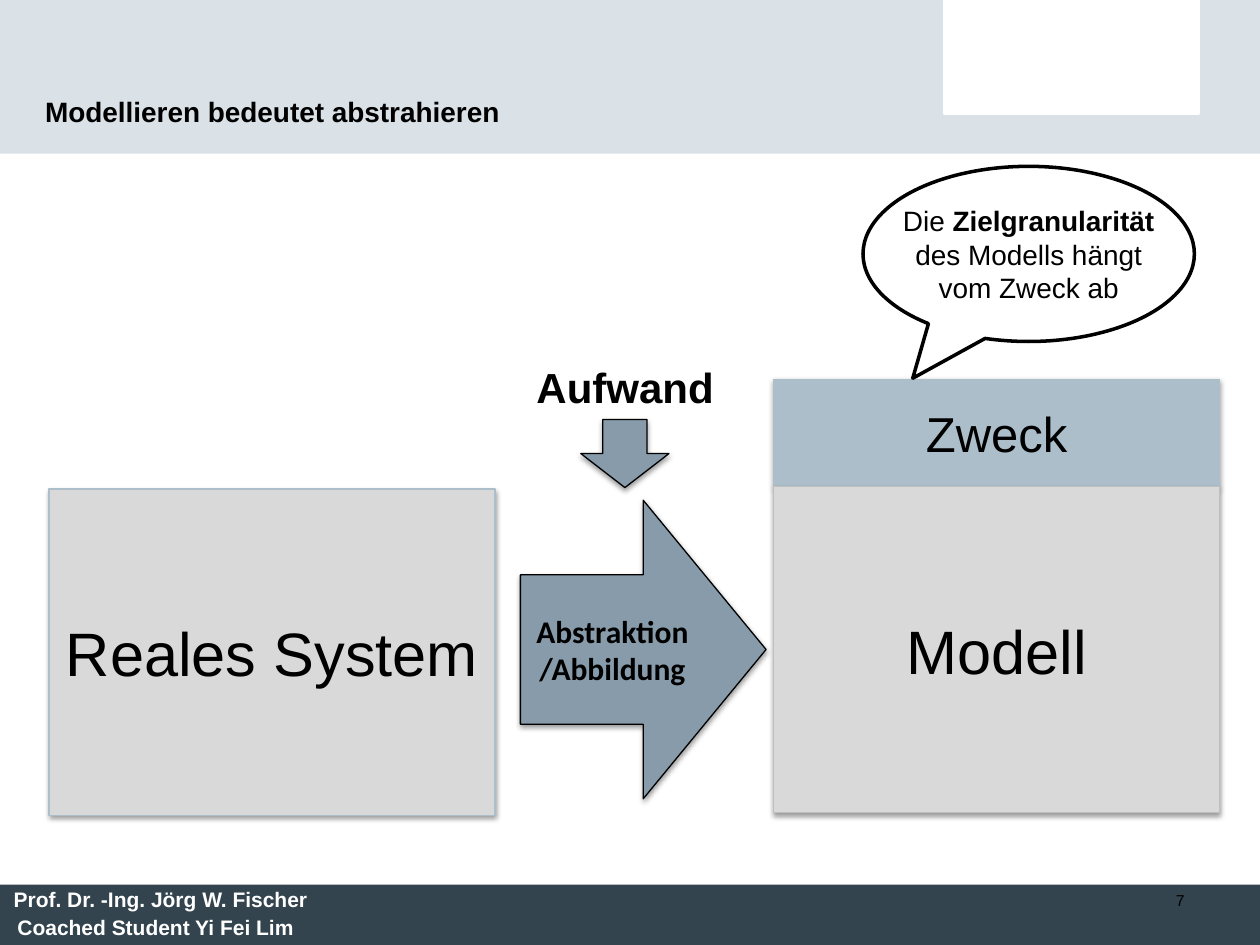
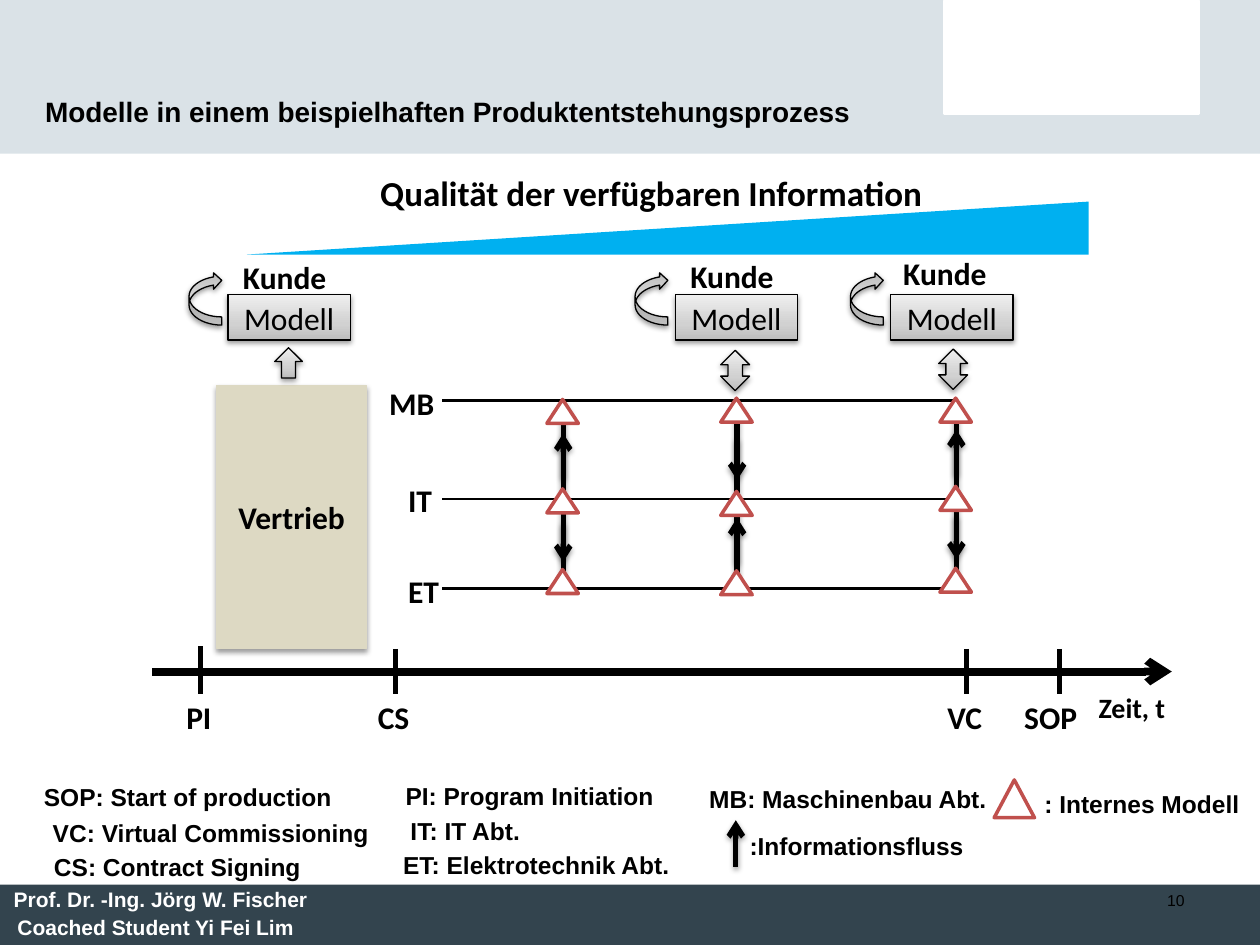
from lxml.etree import SubElement
from pptx import Presentation
from pptx.dml.color import RGBColor
from pptx.enum.shapes import MSO_CONNECTOR, MSO_SHAPE
from pptx.enum.text import MSO_ANCHOR, PP_ALIGN
from pptx.oxml import parse_xml
from pptx.oxml.ns import nsdecls, qn
from pptx.util import Pt

PX = 9144
BLACK, WHITE = "000000", "FFFFFF"
PALE, DARK, BLUE, STEEL = "DAE2E7", "33444E", "ADBECB", "879BAA"
GREY, RIM, SAND, RED, SKY = "D9D9D9", "BFBFBF", "DDD9C3", "C0504D", "00B0F0"
METAL = [(0, "BDBDBD"), (35, "D1D1D1"), (100, "EEEEEE")]
LEFT, MID, RIGHT = PP_ALIGN.LEFT, PP_ALIGN.CENTER, PP_ALIGN.RIGHT
TOP, BASE = MSO_ANCHOR.TOP, MSO_ANCHOR.BOTTOM
SHADE = (f'<a:outerShdw {nsdecls("a")} blurRad="39400" dist="20300" dir="5400000" '
         'rotWithShape="0"><a:srgbClr val="000000"><a:alpha val="38000"/>'
         '</a:srgbClr></a:outerShdw>')
hue = RGBColor.from_string


def form(page, kind, box, fill=None, edge=None, width=0.75, shade=False,
         runs=(), size=18, face="Arial", ink=BLACK, align=MID,
         anchor=MSO_ANCHOR.MIDDLE, wrap=True):
    place = [n * PX for n in box]
    if kind is None:
        shape = page.shapes.add_textbox(*place)
    else:
        shape = page.shapes.add_shape(kind, *place)
        shape.shadow.inherit = False
        if fill is METAL:
            shape.fill.gradient()
            shape.fill.gradient_angle = 90
            stops = shape._element.spPr.find(qn("a:gradFill")).find(qn("a:gsLst"))
            for old in list(stops):
                stops.remove(old)
            for spot, tone in METAL:
                stop = SubElement(stops, qn("a:gs"), pos=str(spot * 1000))
                SubElement(stop, qn("a:srgbClr"), val=tone)
        else:
            shape.fill.solid()
            shape.fill.fore_color.rgb = hue(fill)
        if edge:
            shape.line.color.rgb = hue(edge)
            shape.line.width = Pt(width)
        else:
            shape.line.fill.background()
        if shade:
            shape._element.spPr.find(qn("a:effectLst")).append(parse_xml(SHADE))
    if runs:
        frame = shape.text_frame
        frame.word_wrap = wrap
        frame.vertical_anchor = anchor
        para = frame.paragraphs[0]
        para.alignment = align
        for text, bold in runs:
            for row, bit in enumerate(text.split("\n")):
                if row:
                    para.add_line_break()
                if bit:
                    run = para.add_run()
                    run.text = bit
                    run.font.size = Pt(size)
                    run.font.name = face
                    run.font.bold = bold
                    run.font.color.rgb = hue(ink)
    return shape


def wire(page, ends, width, head=False, shade=False):
    line = page.shapes.add_connector(MSO_CONNECTOR.STRAIGHT, *[n * PX for n in ends])
    line.line.color.rgb = hue(BLACK)
    line.line.width = Pt(width)
    part = line._element.spPr
    if head:
        SubElement(part.find(qn("a:ln")), qn("a:tailEnd"), type="arrow")
    glow = SubElement(part, qn("a:effectLst"))
    if shade:
        glow.append(parse_xml(SHADE))


deck = Presentation()
deck.slide_width, deck.slide_height = 1000 * PX, 750 * PX
pages = []
for title, count in [("Modellieren bedeutet abstrahieren", "7"),
                     ("Modelle in einem beispielhaften Produktentstehungsprozess", "10")]:
    page = deck.slides.add_slide(deck.slide_layouts[6])
    form(page, MSO_SHAPE.RECTANGLE, (0, 0, 1000, 122), PALE)
    form(page, MSO_SHAPE.RECTANGLE, (750, 1, 201, 89), WHITE, WHITE, 2)
    form(page, MSO_SHAPE.RECTANGLE, (0, 702, 1000, 48), DARK)
    for left, top, text in [(1, 699, "Prof. Dr. -Ing. Jörg W. Fischer"),
                            (4, 721, "Coached Student Yi Fei Lim")]:
        form(page, None, (left, top, 268, 30), runs=[(text, True)], size=12,
             ink=WHITE, align=LEFT, anchor=TOP)
    form(page, None, (26, 44, 680, 63), runs=[(title, True)], size=16,
         align=LEFT, anchor=BASE)
    form(page, None, (717, 702, 233, 48), runs=[(count, False)], size=9,
         align=RIGHT, anchor=TOP)
    pages.append(page)

page = pages[0]
form(page, MSO_SHAPE.RECTANGLE, (614, 301, 354, 85), BLUE, BLUE, shade=True,
     runs=[("Zweck", False)], size=28)
form(page, MSO_SHAPE.DOWN_ARROW, (461, 333, 70, 54), STEEL, BLACK, shade=True)
form(page, None, (416, 282, 174, 50), runs=[("Aufwand", True)], size=24,
     align=LEFT, anchor=TOP)
for left, top, edge, text in [(39, 388, BLUE, "Reales System"), (614, 386, RIM, "Modell")]:
    form(page, MSO_SHAPE.RECTANGLE, (left, top, 354, 259), GREY, edge, shade=True,
         runs=[(text, False)], size=35)
form(page, MSO_SHAPE.RIGHT_ARROW, (413, 397, 195, 237), STEEL, BLACK, shade=True,
     runs=[("Abstraktion\n/Abbildung", True)], face="Calibri")
bubble = form(page, MSO_SHAPE.OVAL_CALLOUT, (685, 132, 263, 139), WHITE, BLACK, 2,
              runs=[("Die ", False), ("Zielgranularität\n", True),
                    ("des Modells hängt\nvom Zweck ab", False)], size=16, wrap=False)
bubble.adjustments[0] = -0.35
bubble.adjustments[1] = 0.71

page = pages[1]
for left, top, wide, text in [
        (25, 616, 257, "SOP: Start of production"),
        (32, 644, 282, "VC: Virtual Commissioning"),
        (33, 671, 236, "CS: Contract Signing"),
        (312, 615, 221, "PI: Program Initiation"),
        (316, 643, 113, "IT: IT Abt."),
        (310, 670, 242, "ET: Elektrotechnik Abt."),
        (553, 617, 244, "MB: Maschinenbau Abt."),
        (819, 621, 180, ": Internes Modell"),
        (585, 655, 191, ":Informationsfluss")]:
    form(page, None, (left, top, wide, 34), runs=[(text, True)], size=14,
         align=LEFT, anchor=TOP)

wire(page, (121, 533, 930, 533), 4.5, head=True)
for x, top in [(159, 513), (314, 515), (767, 515), (841, 515)]:
    wire(page, (x, top, x, 551), 3)
for y in (318, 396, 467):
    wire(page, (351, y, 759, y), 1.5)

form(page, MSO_SHAPE.RECTANGLE, (172, 306, 119, 209), SAND, SAND, shade=True,
     runs=[("Vertrieb", True)], face="Calibri")
ramp = form(page, MSO_SHAPE.RIGHT_TRIANGLE, (196, 160, 668, 42), SKY)
ramp._element.spPr.xfrm.set("flipH", "1")
form(page, None, (272, 131, 490, 41), runs=[("Qualität der verfügbaren Information", True)],
     size=20, face="Calibri", anchor=TOP)

for left, top, size, text in [
        (138, 549, 18, "PI"), (290, 549, 18, "CS"), (742, 549, 18, "VC"),
        (803, 549, 18, "SOP"), (862, 543, 16, "Zeit, t"),
        (299, 300, 18, "MB"), (314, 377, 18, "IT"), (314, 449, 18, "ET"),
        (183, 200, 18, "Kunde"), (538, 199, 18, "Kunde"), (707, 197, 18, "Kunde")]:
    form(page, None, (left, top, 92, 38), runs=[(text, True)], size=size,
         face="Calibri", align=LEFT, anchor=TOP)

for left, loop, kind, box in [
        (181, 150, MSO_SHAPE.UP_ARROW, (218, 276, 22, 24)),
        (536, 504, MSO_SHAPE.UP_DOWN_ARROW, (572, 278, 23, 32)),
        (707, 675, MSO_SHAPE.UP_DOWN_ARROW, (745, 277, 23, 32))]:
    form(page, MSO_SHAPE.RECTANGLE, (left, 234, 97, 36), METAL, BLACK, shade=True,
         runs=[("Modell", False)], face="Calibri")
    form(page, kind, box, METAL, BLACK, shade=True)
    turn = form(page, MSO_SHAPE.CURVED_LEFT_ARROW, (loop, 216, 26, 42), METAL, BLACK,
                shade=True)
    turn.rotation = 180

for x, flows, tops in [
        (447, [(379, 344), (415, 446)], (317, 388, 452)),
        (585, [(447, 411), (348, 381)], (316, 390, 453)),
        (759, [(377, 341), (409, 444)], (316, 386, 451))]:
    for start, end in [(466, 317)] + flows:
        wire(page, (x, start, x, end), 3, head=True, shade=True)
    for top in tops:
        form(page, MSO_SHAPE.ISOSCELES_TRIANGLE, (x - 13, top, 25, 19), WHITE, RED, 2)

form(page, MSO_SHAPE.ISOSCELES_TRIANGLE, (789, 619, 32, 30), WHITE, RED, 2)
wire(page, (584, 688, 584, 651), 3, head=True, shade=True)

deck.save("out.pptx")
